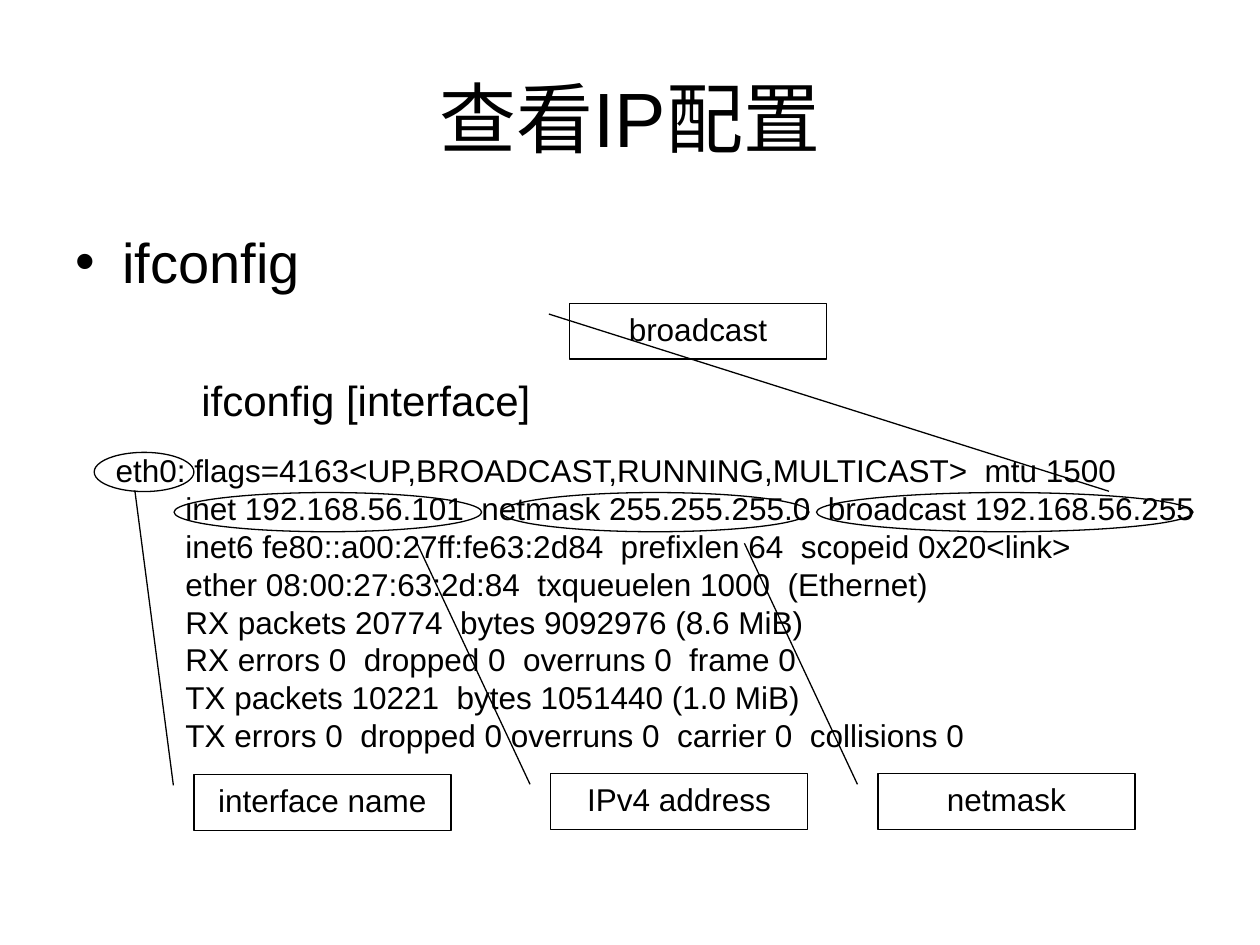
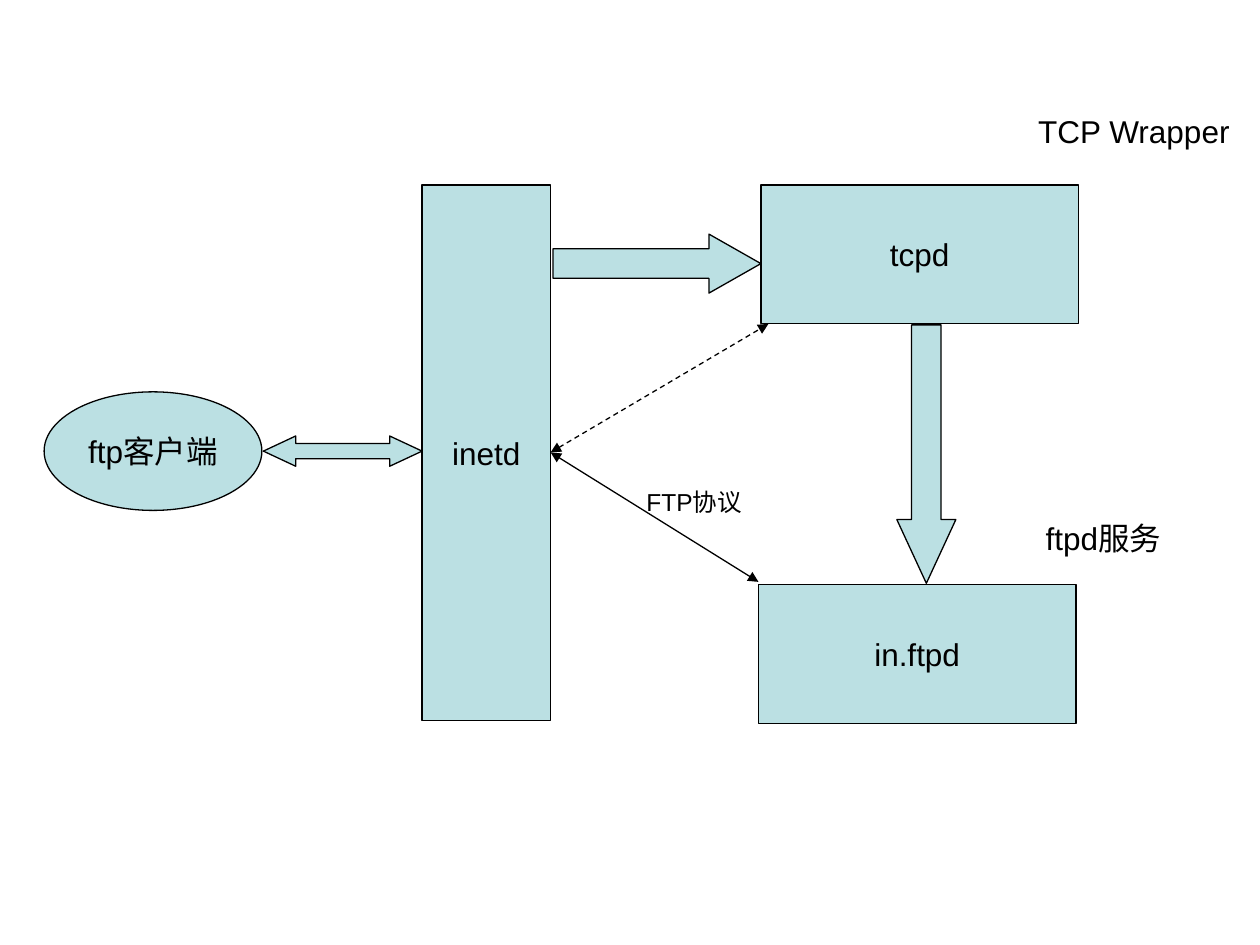
import pptx
import pptx.util
import pptx.dml.color
import pptx.enum.dml
import pptx.enum.shapes
import pptx.enum.text
import pptx.oxml.ns
import lxml.etree

Cm, Pt = pptx.util.Cm, pptx.util.Pt
SHAPE = pptx.enum.shapes.MSO_SHAPE
ALIGN = pptx.enum.text.PP_ALIGN
ANCHOR = pptx.enum.text.MSO_ANCHOR
COLORS = {"ink": "000000", "fill": "BBE0E3"}
FONT = "Arial"
LINE_WIDTH = Pt(0.75)
INSETS = {"margin_left": Cm(0.25), "margin_right": Cm(0.25),
          "margin_top": Cm(0.13), "margin_bottom": Cm(0.13)}


def color(name):
    return pptx.dml.color.RGBColor.from_string(COLORS[name])


def set_attrs(obj, values):
    for name, value in values.items():
        setattr(obj, name, value)


def add_xml(parent, tag, **attrs):
    return lxml.etree.SubElement(parent, pptx.oxml.ns.qn(tag), attrs)


def place(box, x, y, w, h):
    return Cm(box[0] + x), Cm(box[1] + y), Cm(w), Cm(h)


def write(sp, lines, size=18, align=ALIGN.LEFT, anchor=ANCHOR.TOP, wrap=False):
    tf = sp.text_frame
    set_attrs(tf, {**INSETS, "word_wrap": wrap, "vertical_anchor": anchor})
    for i, line in enumerate(lines):
        p = tf.add_paragraph() if i else tf.paragraphs[0]
        p.alignment = align
        r = p.add_run()
        r.text = line
        set_attrs(r.font, {"name": FONT, "size": Pt(size)})
        r.font.color.rgb = color("ink")
    return tf.paragraphs


def add_text(slide, area, lines, **style):
    return write(slide.shapes.add_textbox(*area), lines, **style)


def add_shape(slide, kind, area, fill=None, adj=()):
    sp = slide.shapes.add_shape(kind, *area)
    sp.shadow.inherit = False
    if fill:
        sp.fill.solid()
        sp.fill.fore_color.rgb = color(fill)
    else:
        sp.fill.background()
    sp.line.color.rgb = color("ink")
    sp.line.width = LINE_WIDTH
    for i, value in enumerate(adj):
        sp.adjustments[i] = value
    return sp


def add_two_way_line(slide, box, start, end, dash=None):
    ends = [Cm(box[i] + point[i]) for point in (start, end) for i in (0, 1)]
    line = slide.shapes.add_connector(pptx.enum.shapes.MSO_CONNECTOR.STRAIGHT, *ends)
    line.line.color.rgb = color("ink")
    set_attrs(line.line, {"width": LINE_WIDTH, "dash_style": dash})
    ln = line.line._get_or_add_ln()
    for tag in ("a:headEnd", "a:tailEnd"):
        add_xml(ln, tag, type="triangle")
    add_xml(line._element.spPr, "a:effectLst")


def add_title(slide, box, text):
    add_text(slide, place(box, 0, 0, *box[2:]), [text], size=44,
             align=ALIGN.CENTER, anchor=ANCHOR.MIDDLE, wrap=True)


def add_command(slide, box):
    command, usage = add_text(slide, place(box, 0, 0, *box[2:]),
                              ["ifconfig", "ifconfig [interface]"], size=32, wrap=True)
    command.space_before = Pt(8)
    pPr = command._p.get_or_add_pPr()
    pPr.set("marL", str(Cm(0.95)))
    pPr.set("indent", str(-Cm(0.95)))
    add_xml(pPr, "a:buFont", typeface=FONT)
    add_xml(pPr, "a:buChar", char="•")
    usage.space_before = Pt(46)
    usage.runs[0].font.size = Pt(24)
    usage._p.get_or_add_pPr().set("marL", str(Cm(2.54)))


def add_console(slide, box):
    lines = [
        "eth0: flags=4163<UP,BROADCAST,RUNNING,MULTICAST>  mtu 1500",
        "inet 192.168.56.101  netmask 255.255.255.0  broadcast 192.168.56.255",
        "inet6 fe80::a00:27ff:fe63:2d84  prefixlen 64  scopeid 0x20<link>",
        "ether 08:00:27:63:2d:84  txqueuelen 1000  (Ethernet)",
        "RX packets 20774  bytes 9092976 (8.6 MiB)",
        "RX errors 0  dropped 0  overruns 0  frame 0",
        "TX packets 10221  bytes 1051440 (1.0 MiB)",
        "TX errors 0  dropped 0 overruns 0  carrier 0  collisions 0",
    ]
    for p in add_text(slide, place(box, 0, 0, *box[2:]), lines)[1:]:
        p._p.get_or_add_pPr().set("marL", str(Cm(1.41)))

    fields = [
        ("interface name", (-0.18, 0.15, 2.01), (1.83, 6.65), (-5.12, -0.23)),
        ("IPv4 address", (1.43, 0.96, 6.2), (9.02, 6.63), (-4.15, -0.52)),
        ("netmask", (8.03, 0.96, 6.2), (15.62, 6.63), (-4.15, -0.52)),
        ("broadcast", (14.38, 0.96, 7.59), (9.4, -2.85), (3.38, 2.1)),
    ]
    for name, ring, label, target in fields:
        add_shape(slide, SHAPE.OVAL, place(box, *ring, 0.79))
        sp = add_shape(slide, SHAPE.LINE_CALLOUT_1, place(box, *label, 5.18, 1.12),
                       adj=(0.19, -0.08, *target))
        write(sp, [name], align=ALIGN.CENTER, wrap=True)


def add_wrapper_diagram(slide, box):
    nodes = [
        ("inetd", SHAPE.RECTANGLE, (7.62, 1.6, 2.59, 10.8)),
        ("ftp客户端", SHAPE.OVAL, (0, 5.77, 4.39, 2.39)),
        ("tcpd", SHAPE.RECTANGLE, (14.45, 1.6, 6.4, 2.79)),
        ("in.ftpd", SHAPE.RECTANGLE, (14.4, 9.66, 6.4, 2.79)),
    ]
    for name, kind, area in nodes:
        sp = add_shape(slide, kind, place(box, *area), "fill")
        write(sp, [name], align=ALIGN.CENTER, anchor=ANCHOR.MIDDLE)

    arrows = [
        (SHAPE.RIGHT_ARROW, (10.26, 2.59, 4.19, 1.19), 0.88),
        (SHAPE.DOWN_ARROW, (17.19, 4.42, 1.19, 5.21), 1.08),
        (SHAPE.LEFT_RIGHT_ARROW, (4.42, 6.66, 3.2, 0.61), 1.07),
    ]
    for kind, area, head in arrows:
        add_shape(slide, kind, place(box, *area), "fill", (0.5, head))

    inetd_edge = (10.21, 6.99)
    add_two_way_line(slide, box, inetd_edge, (14.6, 4.4), pptx.enum.dml.MSO_LINE.DASH)
    add_two_way_line(slide, box, inetd_edge, (14.4, 9.6))

    labels = [
        ("TCP Wrapper", (19.79, 0, 4.5, 1.02), 18),
        ("ftpd服务", (19.94, 8.21, 3.4, 1.02), 18),
        ("FTP协议", (11.89, 7.55, 3, 0.86), 14),
    ]
    for text, area, size in labels:
        add_text(slide, place(box, *area), [text], size=size)


def main():
    prs = pptx.Presentation()
    set_attrs(prs, {"slide_width": Cm(25.4), "slide_height": Cm(19.05)})
    blank = prs.slide_layouts[6]

    s = prs.slides.add_slide(blank)
    add_title(s, (1.27, 0.76, 22.86, 3.18), "查看IP配置")
    add_command(s, (1.27, 4.45, 22.86, 12.57))
    add_console(s, (2.08, 8.97, 22.25, 6.35))

    s = prs.slides.add_slide(blank)
    add_wrapper_diagram(s, (0.89, 2.13))

    prs.save("out.pptx")


if __name__ == "__main__":
    main()
